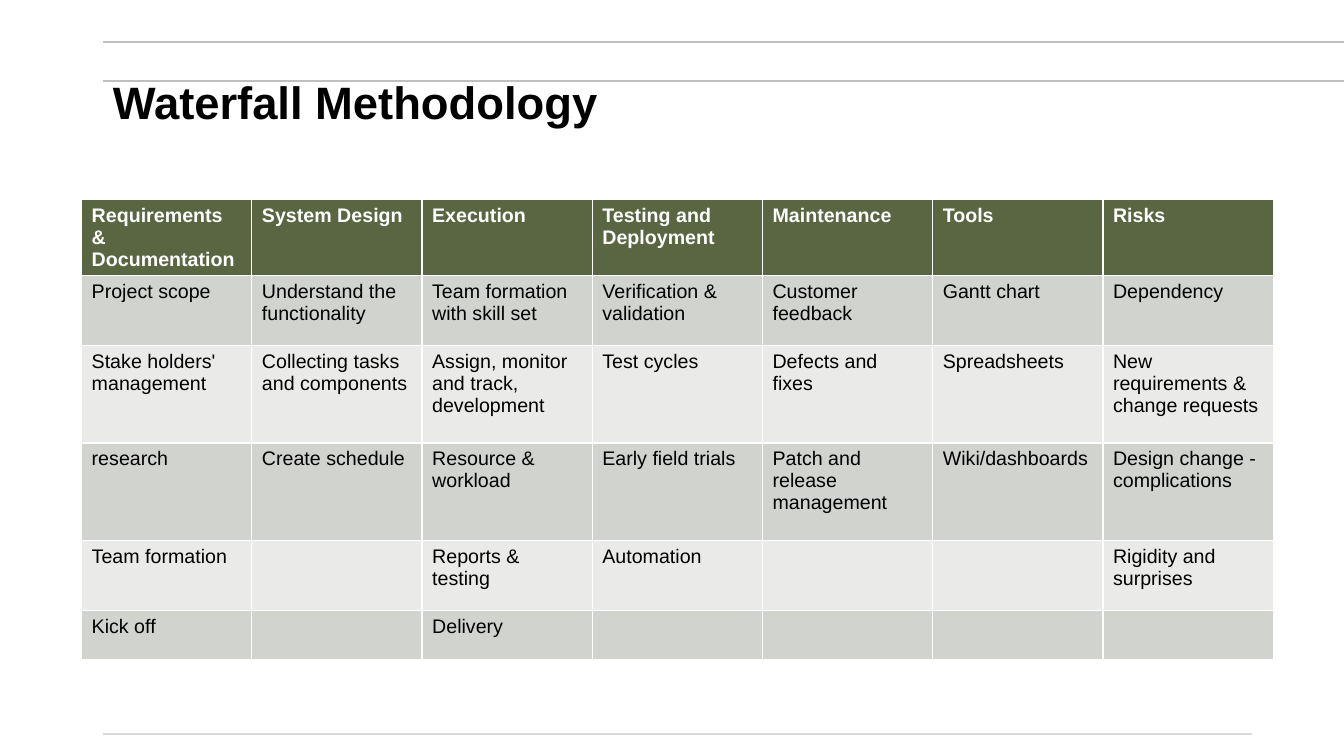
from lxml import etree
from pptx import Presentation
from pptx.dml.color import RGBColor
from pptx.enum.shapes import MSO_CONNECTOR
from pptx.enum.text import MSO_ANCHOR, MSO_AUTO_SIZE, PP_ALIGN
from pptx.oxml.ns import qn
from pptx.util import Inches, Pt

STRAIGHT = MSO_CONNECTOR.STRAIGHT
MIDDLE = MSO_ANCHOR.MIDDLE
NO_AUTOFIT = MSO_AUTO_SIZE.NONE
LEFT = PP_ALIGN.LEFT


def color(hex_value):
    return RGBColor.from_string(hex_value)


def style_font(paragraph, size, hex_value, bold):
    font = paragraph.font
    font.name = "Arial"
    font.size = Pt(size)
    font.bold = bold
    font.color.rgb = color(hex_value)


presentation = Presentation()
presentation.slide_width = Inches(13.33)
presentation.slide_height = Inches(7.5)
slide = presentation.slides.add_slide(presentation.slide_layouts[5])

for y, right, rule_color in [
    (0.8, 13.33, "BFBFBF"),
    (0.42, 13.33, "BFBFBF"),
    (7.28, 12.42, "D9D9D9"),
]:
    rule = slide.shapes.add_connector(
        STRAIGHT, Inches(1.02), Inches(y), Inches(right), Inches(y)
    )
    rule.line.color.rgb = color(rule_color)
    rule.line.width = Pt(1.5)
    etree.SubElement(rule._element.spPr, qn("a:effectLst"))

title = slide.shapes.title
title.left, title.top = Inches(1.02), Inches(0.84)
title.width, title.height = Inches(11.39), Inches(0.39)
title.text_frame.text = "Waterfall Methodology"
title.text_frame.auto_size = NO_AUTOFIT
title.text_frame.vertical_anchor = MIDDLE
heading = title.text_frame.paragraphs[0]
heading.alignment = LEFT
heading.line_spacing = 0.9
style_font(heading, 32.4, "000000", True)

phases = [
    ["Requirements & Documentation", "System Design", "Execution",
     "Testing and Deployment", "Maintenance", "Tools", "Risks"],
    ["Project scope", "Understand the functionality", "Team formation with skill set",
     "Verification & validation", "Customer feedback", "Gantt chart", "Dependency"],
    ["Stake holders' management", "Collecting tasks and components",
     "Assign, monitor and track, development", "Test cycles", "Defects and fixes",
     "Spreadsheets", "New requirements & change requests"],
    ["research", "Create schedule", "Resource & workload", "Early field trials",
     "Patch and release management", "Wiki/dashboards", "Design change - complications"],
    ["Team formation", "", "Reports & testing", "Automation", "", "",
     "Rigidity and surprises"],
    ["Kick off", "", "Delivery", "", "", "", ""],
]
row_heights = [0.69, 0.69, 0.97, 0.97, 0.69, 0.49]

methodology = slide.shapes.add_table(
    len(phases), len(phases[0]), Inches(0.81), Inches(1.98), Inches(11.82), Inches(4.5)
).table
for column in methodology.columns:
    column.width = Inches(11.82 / len(phases[0]))

for row_index, (activities, height) in enumerate(zip(phases, row_heights)):
    methodology.rows[row_index].height = Inches(height)
    is_header = row_index == 0
    band = "D1D3CF" if row_index % 2 else "EAEAE9"
    for column_index, activity in enumerate(activities):
        cell = methodology.cell(row_index, column_index)
        cell.fill.solid()
        cell.fill.fore_color.rgb = color("596641" if is_header else band)
        cell.text = activity
        style_font(
            cell.text_frame.paragraphs[0], 14,
            "FFFFFF" if is_header else "000000", is_header,
        )

presentation.save("out.pptx")
